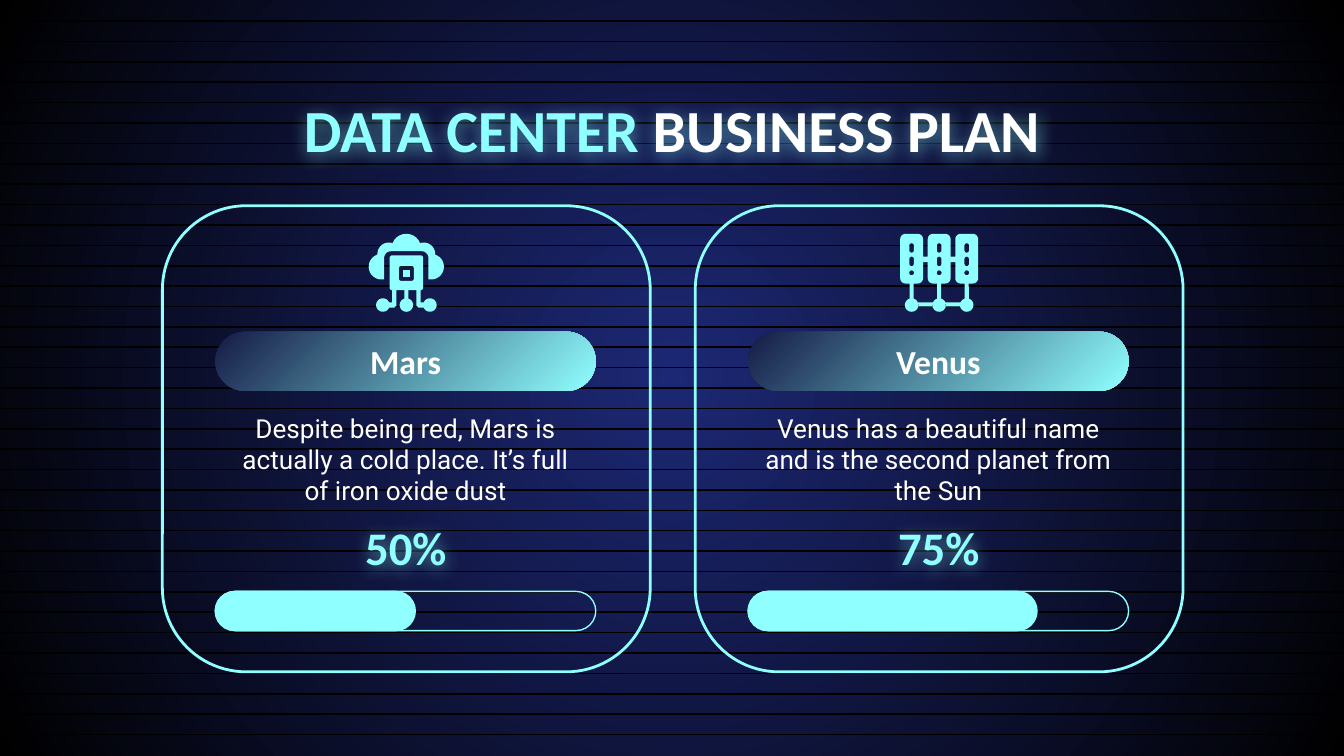
from math import cos, radians, sin

from lxml import etree
from pptx import Presentation
from pptx import util as u
from pptx.dml.color import RGBColor
from pptx.enum import shapes, text
from pptx.oxml.ns import qn

AQUA = RGBColor(0x8F, 0xFF, 0xFF)
NAVY = RGBColor(0x15, 0x1B, 0x46)
BLUE = RGBColor(0x1D, 0x28, 0x75)
BLACK = RGBColor(0, 0, 0)
WHITE = RGBColor(0xFF, 0xFF, 0xFF)

WIDTH, HEIGHT = 25.4, 14.29
STRIPES, STRIPE_PITCH, STRIPE_H = 36, 13.87 / 36, 0.03
CARD_LEFT, CARD_PITCH, CARD_TOP, CARD_W, CARD_H = 3.07, 10.07, 3.89, 9.22, 8.81
INSET, INNER_W = 1.0, 7.19
ICON_TOP, ICON_UNIT = 4.42, 2.54 / 100


def arc(cx, cy, r, start, end):
    n = max(4, abs(end - start) // 12)
    angles = [radians(start + (end - start) * i / n) for i in range(n + 1)]
    return [(cx + r * cos(a), cy + r * sin(a)) for a in angles]


def mirror(half):
    return half + [(-x, y) for x, y in reversed(half)]


def shift(points, dx):
    return [(x + dx, y) for x, y in points]


def box(x, y, w, h):
    return [(x, y), (x + w, y), (x + w, y + h), (x, y + h)]


def rounded(top, half_w, h, r):
    x, bottom = half_w - r, top + h
    return mirror(arc(x, top + r, r, -90, 0) + arc(x, bottom - r, r, 0, 90))


def cloud_chip():
    chip = mirror(
        [(0, 16)] + arc(10.5, 18, 2, -90, 0) + arc(10.5, 40, 2, 0, 90)
        + [(10.5, 51)] + arc(17.5, 53, 5, 204, 516)
        + [(9, 55), (7.5, 53.5), (7.5, 42), (1.5, 42)] + arc(0, 53, 5, -72, 90))
    cloud = mirror(
        arc(0, 11, 11, -90, -21) + arc(13, 15, 8.5, -107, 0)
        + arc(18.5, 24.5, 9.5, -72, 90) + [(16.5, 34)]
        + arc(11.5, 18, 5, 0, -90))
    return [[chip, rounded(24, 5.5, 11, 1.5)], [box(-2.5, 27, 5, 5)], [cloud]]


def server_racks():
    rack = mirror(
        arc(4.5, 4, 4, -90, 0) + arc(4.5, 33, 4, 0, 90)
        + [(1.5, 37)] + arc(0, 53, 5, -72, 90))
    lights = [rounded(7, 1.7, 7, 1.7), rounded(17, 1.7, 7, 1.7), arc(0, 29, 1.8, 0, 360)]
    contours = [shift(c, dx) for dx in (-20.5, 0, 20.5) for c in [rack] + lights]
    for dx in (-20.5, 0):
        contours += [box(dx + 8.5, 17, 3.5, 4), box(dx + 4.7, 51, 11.1, 3)]
    return [contours]


class Deck:
    heading, body = "Calibri", "Roboto"

    def __init__(self):
        self.prs = Presentation()
        self.prs.slide_width, self.prs.slide_height = u.Cm(WIDTH), u.Cm(HEIGHT)
        self.s = self.prs.slides.add_slide(self.prs.slide_layouts[5])

    def gradient(self, fill, start, end):
        fill.gradient()
        for stop, color, place in zip(fill.gradient_stops, (start, end), (0, 1)):
            stop.color.rgb, stop.position = color, place

    def background(self):
        self.gradient(self.s.background.fill, BLUE, BLACK)
        grad = next(self.s.element.iter(qn("a:gradFill")))
        grad.remove(grad.find(qn("a:lin")))
        circle = etree.SubElement(grad, qn("a:path"), {"path": "circle"})
        etree.SubElement(circle, qn("a:fillToRect"), dict.fromkeys("ltrb", "50000"))

    def glow(self, sp):
        effects = etree.SubElement(sp.element.spPr, qn("a:effectLst"))
        shadow = etree.SubElement(
            effects, qn("a:outerShdw"),
            {"blurRad": "114300", "dist": "19050", "dir": "5400000", "rotWithShape": "0"})
        color = etree.SubElement(shadow, qn("a:srgbClr"), {"val": str(AQUA)})
        etree.SubElement(color, qn("a:alpha"), {"val": "50000"})

    def add_text(self, sp, runs, size, font, anchor, bold=True):
        tf = sp.text_frame
        tf.word_wrap, tf.auto_size = True, text.MSO_AUTO_SIZE.NONE
        tf.vertical_anchor = anchor
        tf.margin_left = tf.margin_right = tf.margin_top = tf.margin_bottom = u.Cm(0.25)
        p = tf.paragraphs[0]
        p.alignment = text.PP_ALIGN.CENTER
        for words, color in runs:
            r = p.add_run()
            r.text = words
            r.font.size, r.font.name, r.font.bold = u.Pt(size), font, bold
            r.font.color.rgb = color

    def title(self, x, y, w, h, runs):
        sp = self.s.shapes.title
        sp.left, sp.top, sp.width, sp.height = map(u.Cm, (x, y, w, h))
        self.add_text(sp, runs, 32, self.heading, text.MSO_ANCHOR.TOP)
        self.glow(sp)
        sp.element.getparent().append(sp.element)

    def text_box(self, x, y, w, h, words, color, size, font, anchor, bold):
        sp = self.s.shapes.add_textbox(*map(u.Cm, (x, y, w, h)))
        self.add_text(sp, [(words, color)], size, font, anchor, bold)
        return sp

    def round_rect(self, x, y, w, h, adj=0.5, fill=None, line=None):
        sp = self.s.shapes.add_shape(
            shapes.MSO_SHAPE.ROUNDED_RECTANGLE, *map(u.Cm, (x, y, w, h)))
        sp.shadow.inherit = False
        sp.adjustments[0] = adj
        if fill:
            sp.fill.solid()
            sp.fill.fore_color.rgb = fill
        else:
            sp.fill.background()
        if line:
            sp.line.color.rgb, sp.line.width = AQUA, u.Pt(line)
        else:
            sp.line.fill.background()
        return sp

    def pill(self, x, y, w, h, words):
        sp = self.round_rect(x, y, w, h)
        self.gradient(sp.fill, NAVY, AQUA)
        sp.fill.gradient_angle = 315
        self.add_text(sp, [(words, WHITE)], 18, self.heading, text.MSO_ANCHOR.MIDDLE)

    def outline(self, contours, color, x=0, y=0, unit=1):
        placed = [[(u.Cm(x + px * unit), u.Cm(y + py * unit)) for px, py in c]
                  for c in contours]
        builder = self.s.shapes.build_freeform(*placed[0][0])
        for i, points in enumerate(placed):
            if i:
                builder.move_to(*points[0])
            builder.add_line_segments(points[1:], close=True)
        sp = builder.convert_to_shape()
        sp.shadow.inherit = False
        sp.fill.solid()
        sp.fill.fore_color.rgb = color
        sp.line.fill.background()

    def planet(self, card_x, name, description, percent, bar_w, icon):
        x = card_x + INSET
        self.pill(x, 6.27, INNER_W, 1.12, name)
        self.text_box(x, 7.54, INNER_W, 2.08, description, WHITE, 14,
                      self.body, text.MSO_ANCHOR.TOP, False)
        self.glow(self.text_box(x + 2, 9.73, 3.2, 1.22, percent, AQUA, 25,
                                self.heading, text.MSO_ANCHOR.MIDDLE, True))
        for contours in icon:
            self.outline(contours, AQUA, card_x + CARD_W / 2, ICON_TOP, ICON_UNIT)
        self.round_rect(x, 11.18, INNER_W, 0.74, line=0.75)
        self.round_rect(x, 11.18, bar_w, 0.74, fill=AQUA, line=0.75)


def main():
    deck = Deck()
    deck.background()
    for i in range(STRIPES):
        deck.outline([box(0, (i + 1) * STRIPE_PITCH, WIDTH, STRIPE_H)], BLACK)
    cards = [CARD_LEFT + i * CARD_PITCH for i in range(2)]
    for x in cards:
        deck.round_rect(x, CARD_TOP, CARD_W, CARD_H, adj=0.18, line=1.5)
    deck.title(1.98, 1.5, 21.44, 1.57, [("DATA CENTER ", AQUA), ("BUSINESS PLAN", WHITE)])
    planets = [
        ("Mars", "Despite being red, Mars is actually a cold place. It’s full of iron oxide dust",
         "50%", 3.78, cloud_chip()),
        ("Venus", "Venus has a beautiful name and is the second planet from the Sun",
         "75%", 5.46, server_racks()),
    ]
    for x, planet in zip(cards, planets):
        deck.planet(x, *planet)
    deck.prs.save("out.pptx")


if __name__ == "__main__":
    main()
